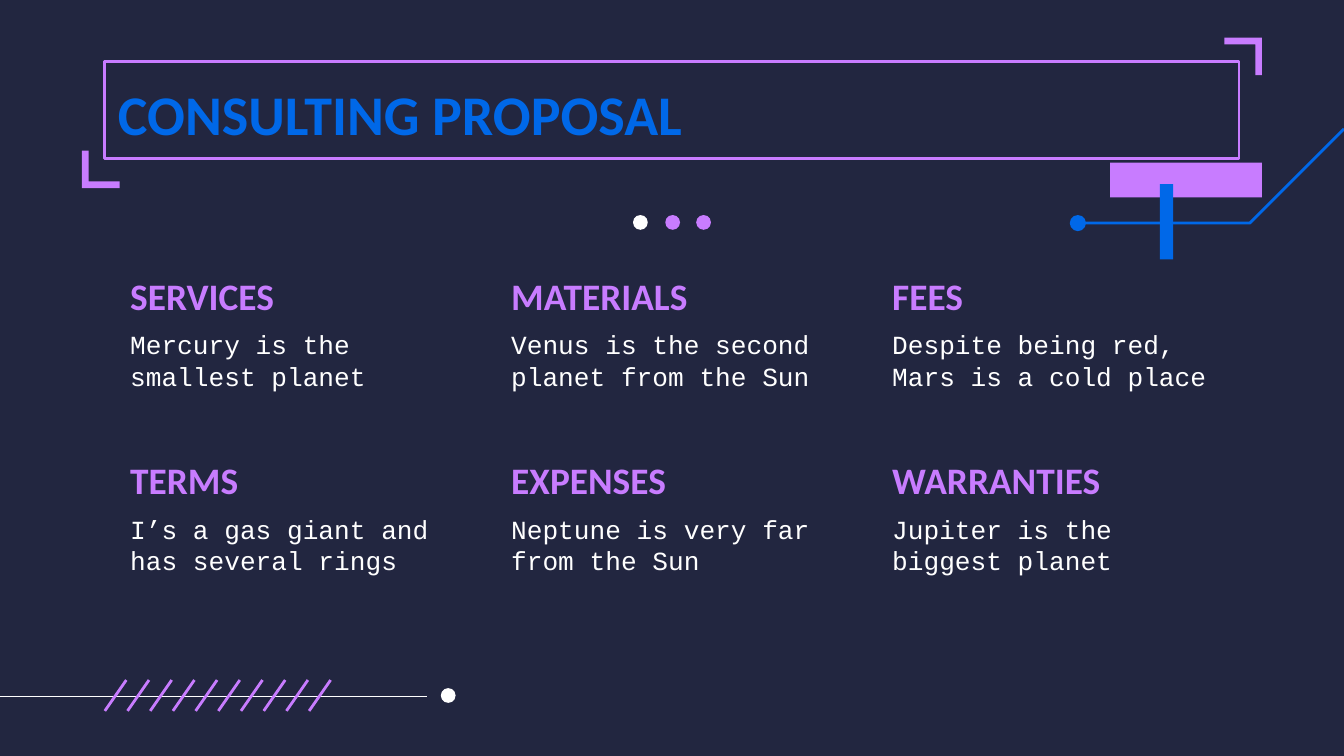
from pptx import Presentation
from pptx.dml.color import RGBColor
from pptx.enum import shapes, text
from pptx.oxml.ns import qn
from pptx.util import Inches, Pt
from lxml import etree

NAVY = RGBColor(0x22, 0x26, 0x40)
WHITE = RGBColor(0xFF, 0xFF, 0xFF)
BLUE = RGBColor(0x00, 0x68, 0xE8)
VIOLET = RGBColor(0xC8, 0x7C, 0xFF)

TITLE = "CONSULTING PROPOSAL"
TOPICS = [
    [
        ("SERVICES", "Mercury is the smallest planet"),
        ("MATERIALS", "Venus is the second planet from the Sun"),
        ("FEES", "Despite being red, Mars is a cold place"),
    ],
    [
        ("TERMS", "I’s a gas giant and has several rings"),
        ("EXPENSES", "Neptune is very far from the Sun"),
        ("WARRANTIES", "Jupiter is the biggest planet"),
    ],
]
DOTS = [
    (3.28, 5.12, 0.11, WHITE),
    (7.96, 1.6, 0.12, BLUE),
    (4.71, 1.6, 0.11, WHITE),
    (4.95, 1.6, 0.11, VIOLET),
    (5.18, 1.6, 0.11, VIOLET),
]
CIRCUIT = [(10, 0.96), (9.3, 1.66), (8.02, 1.66)]
BARS = [(8.26, 1.21, 1.13, 0.26, VIOLET), (8.63, 1.37, 0.1, 0.56, BLUE)]
BRACKETS = [(0.61, 1.4, 1), (9.39, 0.28, -1)]
BRACKET_SIZE, BRACKET_THICKNESS = 0.28, 0.05

COLUMN_LEFT, COLUMN_WIDTH = 0.87, 2.59
COLUMN_PITCH = (6.54 - COLUMN_LEFT) / 2
ROW_TOP, ROW_PITCH = 1.95, 1.37
SLASH_COUNT, SLASH_LEFT = 10, 0.78
SLASH_PITCH = (2.3 - SLASH_LEFT) / (SLASH_COUNT - 1)

deck = Presentation()
deck.slide_width = Inches(10)
deck.slide_height = deck.slide_width * 9 // 16
page = deck.slides.add_slide(deck.slide_layouts[6])
page.background.fill.solid()
page.background.fill.fore_color.rgb = NAVY


def paint(shape, fill=None, line=None):
    shape.shadow.inherit = False
    if fill is None:
        shape.fill.background()
    else:
        shape.fill.solid()
        shape.fill.fore_color.rgb = fill
    if line is None:
        shape.line.fill.background()
    else:
        shape.line.color.rgb = line
        shape.line.width = Pt(1.5)


def add_preset(kind, left, top, width, height, **colors):
    shape = page.shapes.add_shape(
        kind, Inches(left), Inches(top), Inches(width), Inches(height))
    paint(shape, **colors)


def add_outline(points, close, **colors):
    corners = [(Inches(x), Inches(y)) for x, y in points]
    builder = page.shapes.build_freeform(*corners[0])
    builder.add_line_segments(corners[1:], close=close)
    paint(builder.convert_to_shape(), **colors)


def add_line(x1, y1, x2, y2, color, width):
    line = page.shapes.add_connector(
        shapes.MSO_CONNECTOR.STRAIGHT,
        Inches(x1), Inches(y1), Inches(x2), Inches(y2))
    line.line.color.rgb = color
    line.line.width = Pt(width)
    etree.SubElement(line.element.spPr, qn("a:effectLst"))


def add_text(words, left, top, width, height, *, size, font, color,
             bold=False, anchor=text.MSO_ANCHOR.MIDDLE):
    box = page.shapes.add_textbox(
        Inches(left), Inches(top), Inches(width), Inches(height))
    frame = box.text_frame
    frame.word_wrap = True
    frame.vertical_anchor = anchor
    frame.margin_left = frame.margin_right = Inches(0.1)
    frame.margin_top = frame.margin_bottom = Inches(0.1)
    span = frame.paragraphs[0].add_run()
    span.text = words
    span.font.size = Pt(size)
    span.font.name = font
    span.font.bold = bold
    span.font.color.rgb = color


add_line(0, 5.18, 3.18, 5.18, WHITE, 0.5)
add_outline(CIRCUIT, False, line=BLUE)
for left, top, size, color in DOTS:
    add_preset(shapes.MSO_SHAPE.OVAL, left, top, size, size, fill=color)

for index in range(SLASH_COUNT):
    left = SLASH_LEFT + index * SLASH_PITCH
    add_line(left + 0.16, 5.06, left, 5.29, VIOLET, 1.5)

for left, top, width, height, color in BARS:
    add_preset(shapes.MSO_SHAPE.RECTANGLE, left, top, width, height, fill=color)

add_preset(shapes.MSO_SHAPE.RECTANGLE, 0.78, 0.46, 8.44, 0.72, line=VIOLET)
size, thick = BRACKET_SIZE, BRACKET_THICKNESS
bracket = [(0, size), (0, 0), (size, 0), (size, thick), (thick, thick), (thick, size)]
for x, y, direction in BRACKETS:
    add_outline([(x + direction * dx, y - direction * dy) for dx, dy in bracket],
                True, fill=VIOLET)

add_text(TITLE, 0.78, 0.49, 8.44, 0.7, size=30, font="Calibri", color=BLUE,
         bold=True, anchor=text.MSO_ANCHOR.TOP)
for row, topics in enumerate(TOPICS):
    for column, (heading, detail) in enumerate(topics):
        left = COLUMN_LEFT + column * COLUMN_PITCH
        top = ROW_TOP + row * ROW_PITCH
        add_text(heading, left, top, COLUMN_WIDTH, 0.5,
                 size=20, font="Calibri", color=VIOLET, bold=True)
        add_text(detail, left, top + 0.38, COLUMN_WIDTH, 0.7,
                 size=14, font="Courier New", color=WHITE)

deck.save("out.pptx")
